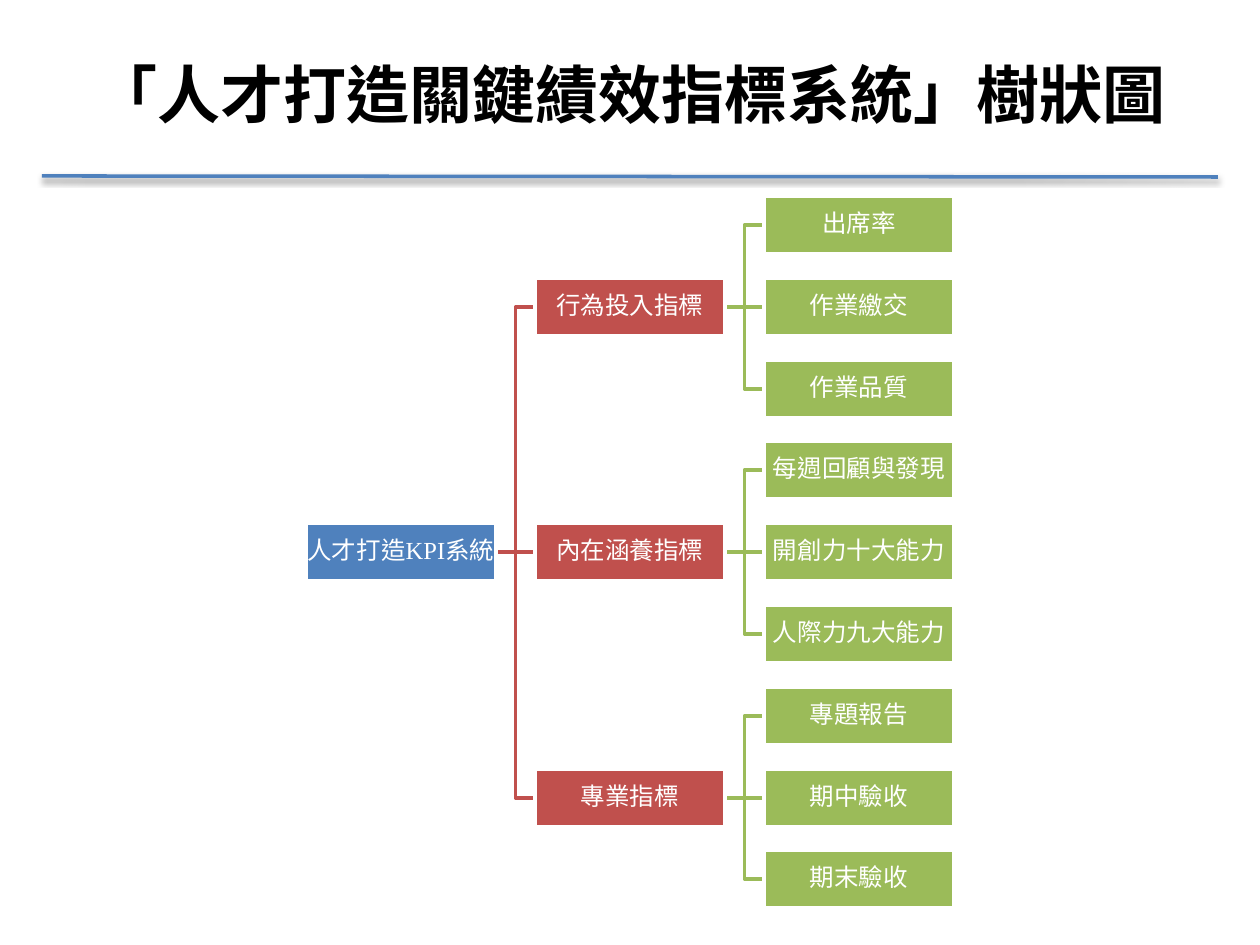
"""Build a one-slide tree diagram of the talent KPI system."""
from dataclasses import dataclass

from lxml.etree import SubElement
from pptx import Presentation
from pptx.dml.color import RGBColor as RGB
from pptx.enum.lang import MSO_LANGUAGE_ID as LANG
from pptx.enum.shapes import MSO_CONNECTOR as CONN, MSO_SHAPE as SHAPE
from pptx.enum.text import MSO_ANCHOR as ANCHOR, PP_ALIGN as ALIGN
from pptx.oxml.ns import qn
from pptx.util import Emu, Pt


@dataclass(frozen=True)
class Theme:
    font: str = "Times New Roman"
    title_size: int = 36
    node_size: int = 14
    line_width: int = 2
    black: str = "000000"
    white: str = "FFFFFF"
    levels: tuple = ("4F81BD", "C0504D", "9BBB59")


def px(n):
    return Emu(round(n * 914400 / 126))


class Deck:
    def __init__(self, theme):
        self.theme = theme
        self.prs = Presentation()
        self.prs.slide_width, self.prs.slide_height = px(1260), px(945)
        self.s = self.prs.slides.add_slide(self.prs.slide_layouts[6])

    def label(self, sp, text, size, color, bold=False):
        tf = sp.text_frame
        tf.word_wrap = True
        tf.vertical_anchor = ANCHOR.MIDDLE
        p = tf.paragraphs[0]
        p.alignment = ALIGN.CENTER
        r = p.add_run()
        r.text = text
        r.font.name, r.font.size, r.font.bold = self.theme.font, Pt(size), bold
        r.font.color.rgb = RGB.from_string(color)
        r.font.language_id = LANG.TRADITIONAL_CHINESE
        return tf

    def title(self, text, x, y, w, h):
        sp = self.s.shapes.add_textbox(px(x), px(y), px(w), px(h))
        self.label(sp, text, self.theme.title_size, self.theme.black, True)

    def node(self, text, x, y, w, h, color):
        sp = self.s.shapes.add_shape(SHAPE.RECTANGLE, px(x), px(y), px(w), px(h))
        sp.shadow.inherit = False
        sp.fill.solid()
        sp.fill.fore_color.rgb = RGB.from_string(color)
        sp.line.color.rgb = RGB.from_string(self.theme.white)
        sp.line.width = Pt(self.theme.line_width)
        tf = self.label(sp, text, self.theme.node_size, self.theme.white)
        tf.margin_left = tf.margin_right = tf.margin_top = tf.margin_bottom = px(1)
        tf.paragraphs[0].line_spacing = 0.9
        tf.paragraphs[0].space_after = Pt(5)
        return sp

    def line(self, kind, color, x1=0, y1=0, x2=0, y2=0):
        cn = self.s.shapes.add_connector(kind, px(x1), px(y1), px(x2), px(y2))
        cn.line.color.rgb = RGB.from_string(color)
        cn.line.width = Pt(self.theme.line_width)
        return cn, SubElement(cn.element.spPr, qn("a:effectLst"))

    def rule(self, x1, y1, x2, y2):
        _, effects = self.line(CONN.STRAIGHT, self.theme.levels[0], x1, y1, x2, y2)
        shadow = SubElement(effects, qn("a:outerShdw"), blurRad="40000",
                            dist="20000", dir="5400000", rotWithShape="0")
        black = SubElement(shadow, qn("a:srgbClr"), val=self.theme.black)
        SubElement(black, qn("a:alpha"), val="38000")

    def branch(self, parent, child, color):
        kind = CONN.STRAIGHT if parent.top == child.top else CONN.ELBOW
        cn, _ = self.line(kind, color)
        cn.begin_connect(parent, 3)
        cn.end_connect(child, 1)
        parent.element.addprevious(cn.element)


TREE = {
    "行為投入指標": ["出席率", "作業繳交", "作業品質"],
    "內在涵養指標": ["每週回顧與發現", "開創力十大能力", "人際力九大能力"],
    "專業指標": ["專題報告", "期中驗收", "期末驗收"],
}
LEFT, TOP, WIDTH, HEIGHT = 306, 196, 190, 58
COL_STEP, ROW_STEP = 229, 81.8


def main():
    theme = Theme()
    deck = Deck(theme)
    deck.rule(42, 176, 1218, 177)
    deck.title("「人才打造關鍵績效指標系統」樹狀圖", 63, 25, 1134, 136)

    def place(text, level, row, parent=None):
        color = theme.levels[level]
        sp = deck.node(text, LEFT + level * COL_STEP, TOP + round(row * ROW_STEP),
                       WIDTH, HEIGHT, color)
        if parent is not None:
            deck.branch(parent, sp, color)
        return sp

    root = place("人才打造KPI系統", 0, 4)
    for i, (group, leaves) in enumerate(TREE.items()):
        branch = place(group, 1, 3 * i + 1, root)
        for j, leaf in enumerate(leaves):
            place(leaf, 2, 3 * i + j, branch)
    deck.prs.save("out.pptx")


if __name__ == "__main__":
    main()
